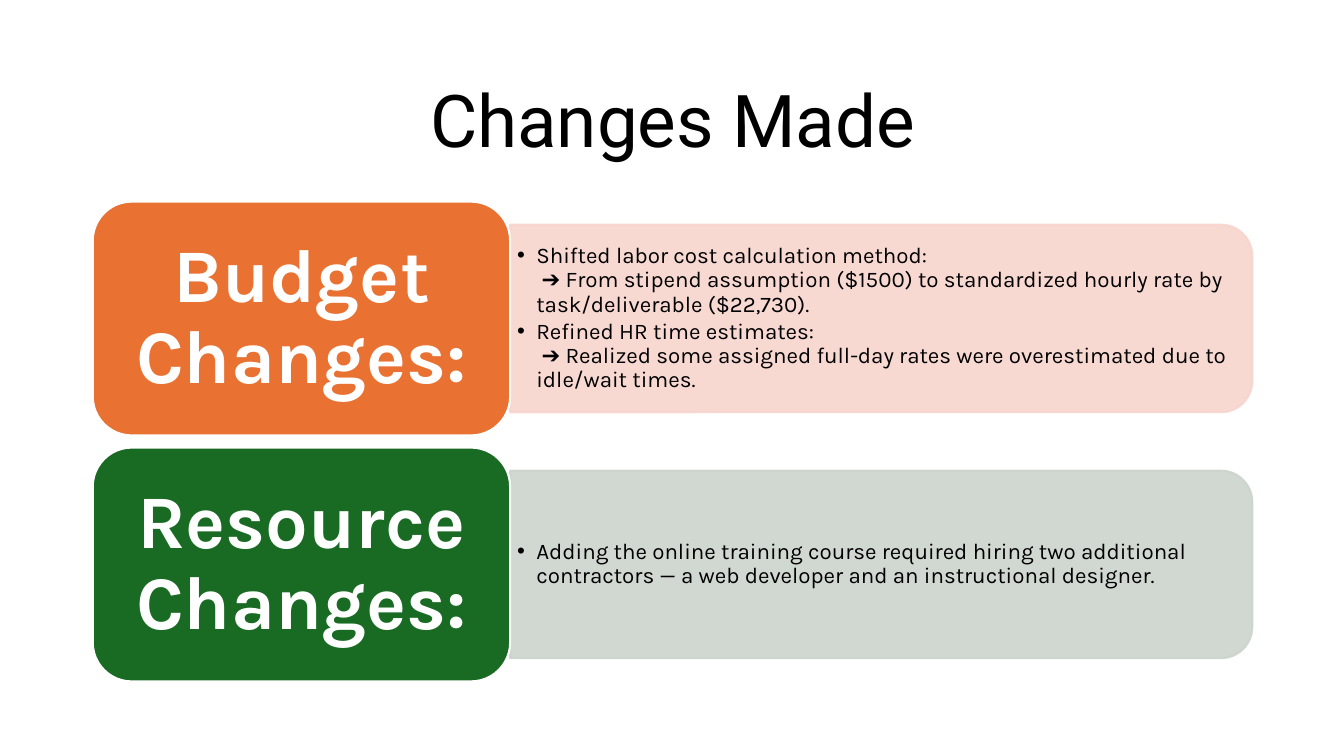
from pptx import Presentation
from pptx.dml.color import RGBColor
from pptx.enum.shapes import MSO_SHAPE
from pptx.enum.text import MSO_ANCHOR, MSO_AUTO_SIZE, PP_ALIGN
from pptx.oxml.ns import qn
from pptx.util import Inches, Pt
from lxml.etree import SubElement

BLACK = RGBColor(0x00, 0x00, 0x00)
WHITE = RGBColor(0xFF, 0xFF, 0xFF)
ORANGE = RGBColor(0xE9, 0x71, 0x32)
PINK = RGBColor(0xF7, 0xD5, 0xCE)
GREEN = RGBColor(0x19, 0x6B, 0x24)
SAGE = RGBColor(0xCC, 0xD4, 0xCD)

LABEL_W = 4.14
BAR_H = 1.86

ROWS = [
    ("Budget Changes: ", ORANGE, PINK, [
        "Shifted labor cost calculation method:\n ➔ From stipend assumption ($1500) "
        "to standardized hourly rate by task/deliverable ($22,730).",
        "Refined HR time estimates:\n ➔ Realized some assigned full-day rates "
        "were overestimated due to idle/wait times.",
    ]),
    ("Resource Changes: ", GREEN, SAGE, [
        "Adding the online training course required hiring two additional "
        "contractors — a web developer and an instructional designer. ",
    ]),
]


def style(para, font, size, color, bold=False):
    para.line_spacing = 0.9
    for run in para.runs:
        run.font.name = font
        run.font.size = Pt(size)
        run.font.bold = bold
        run.font.color.rgb = color


def set_frame(frame, side, edge):
    frame.word_wrap = True
    frame.auto_size = MSO_AUTO_SIZE.NONE
    frame.vertical_anchor = MSO_ANCHOR.MIDDLE
    frame.margin_left = frame.margin_right = Inches(side)
    frame.margin_top = frame.margin_bottom = Inches(edge)


def paint(shape, fill, line):
    shape.shadow.inherit = False
    shape.fill.solid()
    shape.fill.fore_color.rgb = fill
    shape.line.color.rgb = line
    shape.line.width = Pt(1.5)


def add_title(slide, left, top, width, height):
    title = slide.shapes.title
    title.left, title.top = Inches(left), Inches(top)
    title.width, title.height = Inches(width), Inches(height)
    frame = title.text_frame
    frame.text = "Changes Made"
    set_frame(frame, 0.1, 0.05)
    para = frame.paragraphs[0]
    para.alignment = PP_ALIGN.CENTER
    style(para, "Roboto", 52, BLACK)


def add_bar(slide, left, top, width, height, color):
    bar = slide.shapes.add_shape(
        MSO_SHAPE.ROUND_2_SAME_RECTANGLE,
        Inches(left + (width - height) / 2), Inches(top + (height - width) / 2),
        Inches(height), Inches(width))
    bar.rotation = 90
    paint(bar, color, color)
    for tone in bar.element.spPr.iter(qn("a:srgbClr")):
        SubElement(tone, qn("a:alpha"), val="90000")


def add_points(slide, left, top, width, height, points):
    box = slide.shapes.add_textbox(
        Inches(left), Inches(top), Inches(width), Inches(height))
    frame = box.text_frame
    set_frame(frame, 0.07, 0.03)
    for i, point in enumerate(points):
        para = frame.add_paragraph() if i else frame.paragraphs[0]
        para.text = point
        para.level = 1
        para.space_after = Pt(2.4)
        style(para, "Karla", 16, BLACK)
        props = para._p.get_or_add_pPr()
        props.set("marL", str(Inches(0.19)))
        props.set("indent", str(Inches(-0.19)))
        SubElement(props, qn("a:buFont"), typeface="Arial")
        SubElement(props, qn("a:buChar"), char="•")


def add_label(slide, left, top, width, height, text, color):
    label = slide.shapes.add_shape(
        MSO_SHAPE.ROUNDED_RECTANGLE,
        Inches(left), Inches(top), Inches(width), Inches(height))
    paint(label, color, WHITE)
    frame = label.text_frame
    frame.text = text
    set_frame(frame, 0.23, 0.11)
    para = frame.paragraphs[0]
    para.alignment = PP_ALIGN.CENTER
    style(para, "Karla", 54, WHITE, True)


def add_row(slide, left, top, width, height, row):
    text, dark, light, points = row
    start = left + LABEL_W
    span = width - LABEL_W
    mid = top + height / 2
    add_bar(slide, start, mid - BAR_H / 2, span, BAR_H, light)
    add_points(slide, start, mid - 0.84, span - 0.09, 1.68, points)
    add_label(slide, left, top, LABEL_W, height, text, dark)


def main():
    deck = Presentation()
    deck.slide_width, deck.slide_height = Inches(13.33), Inches(7.5)
    slide = deck.slides.add_slide(deck.slide_layouts[5])
    add_title(slide, 0.92, 0.61, 11.5, 1.24)
    for i, row in enumerate(ROWS):
        add_row(slide, 0.92, 2 + i * 2.44, 11.5, 2.32, row)
    deck.save("out.pptx")


if __name__ == "__main__":
    main()
